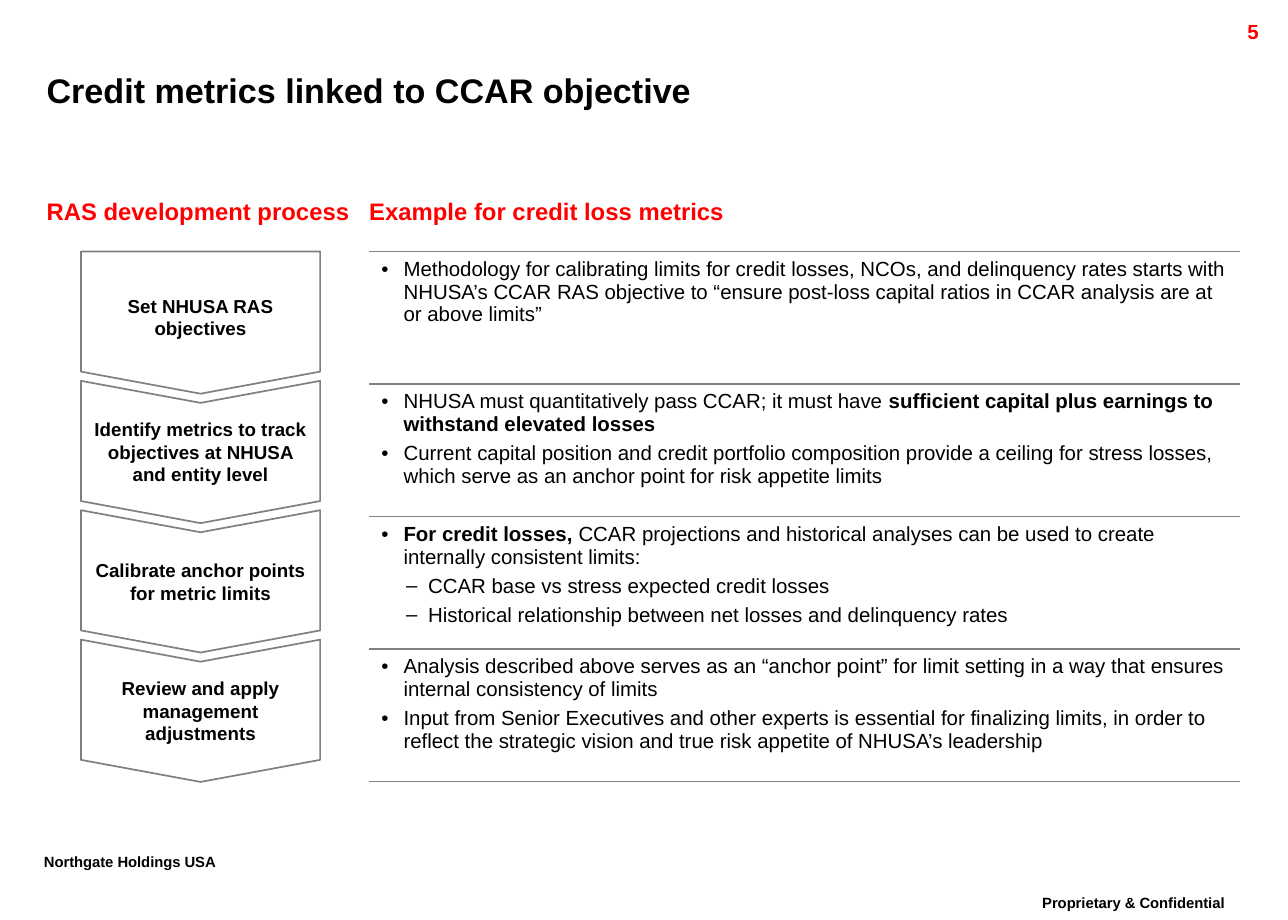
from lxml.etree import SubElement
from pptx import Presentation
from pptx.dml.color import RGBColor
from pptx.enum.shapes import MSO_SHAPE
from pptx.enum.text import MSO_ANCHOR, PP_ALIGN
from pptx.oxml import parse_xml
from pptx.oxml.ns import nsdecls, qn
from pptx.util import Inches, Pt

BLACK = RGBColor(0x00, 0x00, 0x00)
RED = RGBColor(0xFF, 0x00, 0x00)
WHITE = RGBColor(0xFF, 0xFF, 0xFF)
GRAY = RGBColor(0x80, 0x80, 0x80)
OUTLINE_GRAY = RGBColor(0x7F, 0x7F, 0x7F)

STEPS = [
    "Set NHUSA RAS objectives",
    "Identify metrics to track objectives at NHUSA and entity level",
    "Calibrate anchor points for metric limits",
    "Review and apply management adjustments",
]

# Each row holds paragraphs: (bullet, [(text, bold), ...])
EXAMPLES = [
    [("•", [("Methodology for calibrating limits for credit losses, NCOs, and "
             "delinquency rates starts with NHUSA’s CCAR RAS objective to “ensure "
             "post-loss capital ratios in CCAR analysis are at or above limits”", False)])],
    [("•", [("NHUSA must quantitatively pass CCAR; it must have ", False),
            ("sufficient capital plus earnings to withstand elevated losses", True)]),
     ("•", [("Current capital position and credit portfolio composition provide a "
             "ceiling for stress losses, which serve as an anchor point for risk "
             "appetite limits", False)])],
    [("•", [("For credit losses, ", True),
            ("CCAR projections and historical analyses can be used to create "
             "internally consistent limits:", False)]),
     ("–", [("CCAR base vs stress expected credit losses", False)]),
     ("–", [("Historical relationship between net losses and delinquency rates", False)])],
    [("•", [("Analysis described above serves as an “anchor point” for limit setting "
             "in a way that ensures internal consistency of limits", False)]),
     ("•", [("Input from Senior Executives and other experts is essential for "
             "finalizing limits, in order to reflect the strategic vision and true "
             "risk appetite of NHUSA’s leadership", False)])],
]
BULLET_LEVELS = {"•": (0, 0.18), "–": (1, 0.38)}
BULLET_HANG = 0.18


def format_run(run, size, color=BLACK, bold=True):
    run.font.name = "Arial"
    run.font.size = Pt(size)
    run.font.bold = bold
    run.font.color.rgb = color


def add_label(slide, box, text, size, color=BLACK, inset=True,
              align=PP_ALIGN.LEFT, anchor=MSO_ANCHOR.TOP):
    label = slide.shapes.add_textbox(*map(Inches, box))
    frame = label.text_frame
    frame.word_wrap = True
    frame.vertical_anchor = anchor
    if not inset:
        frame.margin_left = frame.margin_right = 0
        frame.margin_top = frame.margin_bottom = 0
    frame.text = text
    paragraph = frame.paragraphs[0]
    paragraph.alignment = align
    format_run(paragraph.runs[0], size, color)
    return paragraph


def add_footer(slide, box, text, align):
    paragraph = add_label(slide, box, text, 15, align=align)
    paragraph.line_spacing = 0.86
    # Raised small text
    paragraph.runs[0].font._element.set("baseline", "30000")


def add_process(slide, left, top, width, height, pitch):
    """Stack of downward arrows, made from sideways shapes turned by 90 degrees."""
    for index, text in enumerate(STEPS):
        kind = MSO_SHAPE.CHEVRON if index else MSO_SHAPE.PENTAGON
        center_x = left + width / 2
        center_y = top + index * pitch + height / 2
        step = slide.shapes.add_shape(
            kind, Inches(center_x - height / 2), Inches(center_y - width / 2),
            Inches(height), Inches(width))
        step.rotation = 90
        step.adjustments[0] = 0.155
        step.shadow.inherit = False
        step.fill.solid()
        step.fill.fore_color.rgb = WHITE
        step.line.color.rgb = OUTLINE_GRAY
        step.line.width = Pt(1)

        frame = step.text_frame
        frame.word_wrap = True
        frame.vertical_anchor = MSO_ANCHOR.MIDDLE
        frame.margin_left = frame.margin_right = Inches(0.08)
        frame.margin_top = frame.margin_bottom = Inches(0.08)
        # Keeps the text upright in the turned shape
        frame._txBody.find(qn("a:bodyPr")).set("vert", "vert270")
        frame.text = text
        frame.paragraphs[0].alignment = PP_ALIGN.CENTER
        format_run(frame.paragraphs[0].runs[0], 11)


def set_borders(cell):
    """Rules above and below the cell, none at its sides."""
    solid = f'<a:solidFill><a:srgbClr val="{GRAY}"/></a:solidFill>'
    sides = [("lnL", "<a:noFill/>"), ("lnR", "<a:noFill/>"), ("lnT", solid), ("lnB", solid)]
    properties = cell._tc.get_or_add_tcPr()
    for position, (side, fill) in enumerate(sides):
        properties.insert(position, parse_xml(
            f'<a:{side} {nsdecls("a")} w="{Pt(1)}">{fill}</a:{side}>'))


def fill_paragraph(paragraph, bullet, parts):
    level, indent = BULLET_LEVELS[bullet]
    properties = paragraph._p.get_or_add_pPr()
    properties.set("marL", str(Inches(indent)))
    properties.set("indent", str(-Inches(BULLET_HANG)))
    SubElement(properties, qn("a:buFont")).set("typeface", "Arial")
    SubElement(properties, qn("a:buChar")).set("char", bullet)
    paragraph.level = level
    for text, bold in parts:
        run = paragraph.add_run()
        run.text = text
        format_run(run, 12, bold=bold)


def add_examples(slide, left, top, width, height):
    frame = slide.shapes.add_table(
        len(EXAMPLES), 1, Inches(left), Inches(top), Inches(width), Inches(height))
    table = frame.table
    table.first_row = False
    table.horz_banding = False
    for row, entries in enumerate(EXAMPLES):
        cell = table.cell(row, 0)
        cell.fill.background()
        set_borders(cell)
        for index, (bullet, parts) in enumerate(entries):
            text_frame = cell.text_frame
            paragraph = text_frame.add_paragraph() if index else text_frame.paragraphs[0]
            fill_paragraph(paragraph, bullet, parts)
            if index:
                paragraph.space_before = Pt(3.6)


def main():
    presentation = Presentation()
    presentation.slide_width = Inches(10.5)
    presentation.slide_height = Inches(7.5)
    slide = presentation.slides.add_slide(presentation.slide_layouts[6])

    # Page number and title
    add_label(slide, (9.36, 0.11, 1, 0.24), "5", 12, RED, align=PP_ALIGN.RIGHT)
    add_label(slide, (0.38, 0.49, 9.48, 0.48), "Credit metrics linked to CCAR objective",
              20, inset=False, anchor=MSO_ANCHOR.MIDDLE)

    # Column headings
    add_label(slide, (0.38, 1.6, 2.6, 0.45), "RAS development process", 14, RED, inset=False)
    add_label(slide, (3.01, 1.6, 6, 0.45), "Example for credit loss metrics",
              14, RED, inset=False)

    # Columns
    add_process(slide, 0.66, 2.05, 1.95, 1.16, pitch=1.055)
    add_examples(slide, 3.01, 2.05, 7.1, 4.32)

    # Footers
    add_footer(slide, (0.26, 6.91, 1.91, 0.35), "Northgate Holdings USA", PP_ALIGN.LEFT)
    add_footer(slide, (8.15, 7.25, 2.18, 0.35), "Proprietary & Confidential", PP_ALIGN.CENTER)

    presentation.save("out.pptx")


if __name__ == "__main__":
    main()
